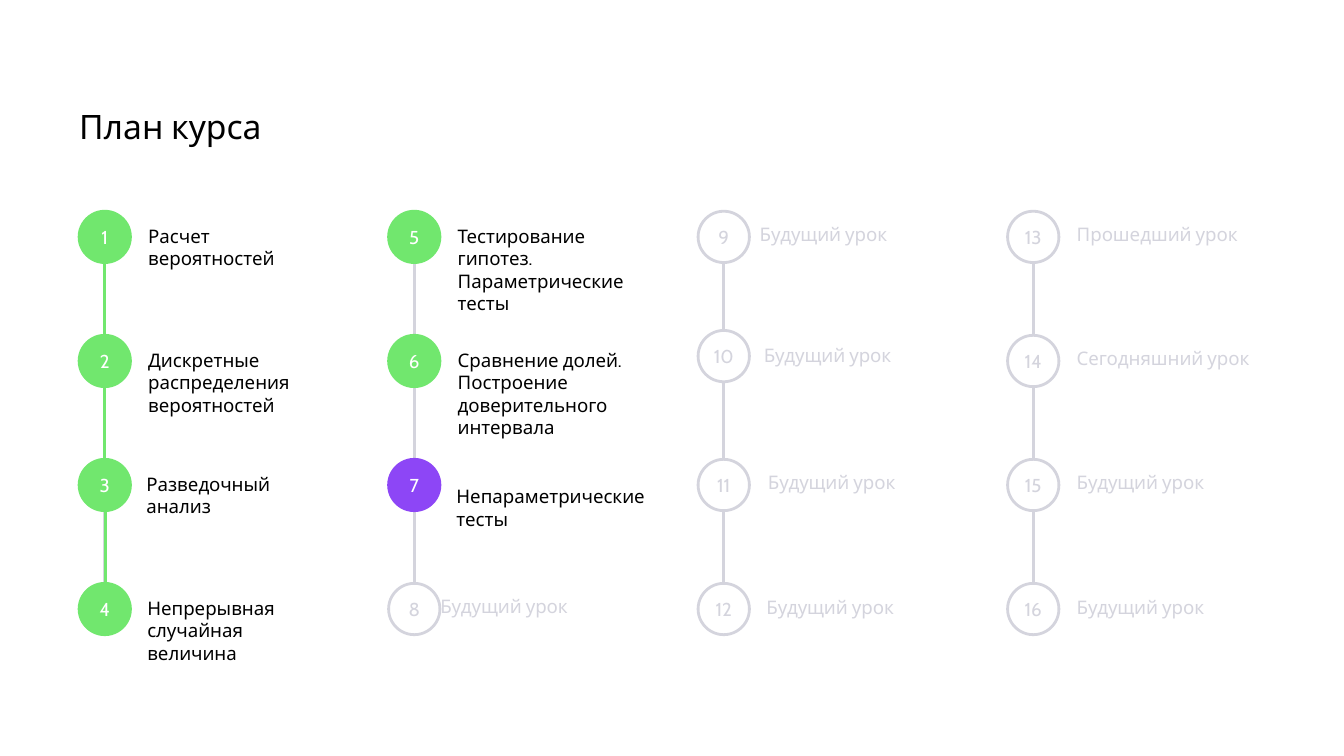
from dataclasses import dataclass

from lxml import etree
from pptx import Presentation
from pptx import util as u
from pptx.dml.color import RGBColor
from pptx.enum import shapes, text
from pptx.oxml.ns import qn

COLORS = {
    "black": "000000",
    "white": "FFFFFF",
    "done": "71E76E",
    "current": "8D46F6",
    "future": "D4D4DD",
}
FONT = "Cabin"
LEFT, TOP = 42.4, 113.2
COLUMN_STEP, ROW_STEP = 165.8, 66.45
DIAMETER = 27.5
ROWS = 4


@dataclass(frozen=True)
class Lesson:
    title: str
    status: str = "future"
    indent: float = 37
    drop: float = 0
    width: float = 101
    circle_drop: float = 0


LESSONS = [
    Lesson("Расчет вероятностей", "done"),
    Lesson("Дискретные распределения вероятностей", "done"),
    Lesson("Разведочный анализ", "done", indent=36),
    Lesson("Непрерывная случайная величина", "done", indent=36.5),
    Lesson("Тестирование гипотез. Параметрические тесты", "done"),
    Lesson("Сравнение долей. Построение доверительного интервала", "done"),
    Lesson("Непараметрические тесты", "current", indent=36.3, drop=6.5, width=109),
    Lesson("Будущий урок", indent=27.7),
    Lesson("Будущий урок", indent=33),
    Lesson("Будущий урок", indent=35.2, drop=-1.3, circle_drop=-2.6),
    Lesson("Будущий урок", indent=37.4),
    Lesson("Будущий урок", indent=36.6, drop=0.5),
    Lesson("Прошедший урок"),
    Lesson("Сегодняшний урок"),
    Lesson("Будущий урок"),
    Lesson("Будущий урок", drop=0.5),
]


def rgb(name: str) -> RGBColor:
    return RGBColor.from_string(COLORS[name])


def write(frame, content: str, size: float, color: str) -> None:
    frame.word_wrap = True
    paragraph = frame.paragraphs[0]
    paragraph.text = content
    paragraph.font.size = u.Pt(size)
    paragraph.font.name = FONT
    paragraph.font.color.rgb = rgb(color)


def set_margins(frame, left: float, top: float, right: float, bottom: float) -> None:
    frame.margin_left, frame.margin_top = u.Pt(left), u.Pt(top)
    frame.margin_right, frame.margin_bottom = u.Pt(right), u.Pt(bottom)


def add_title(slide, content: str) -> None:
    box = slide.shapes.add_textbox(u.Pt(LEFT), u.Pt(57), u.Pt(635), u.Pt(25))
    set_margins(box.text_frame, 0, 0, 0, 0)
    write(box.text_frame, content, 18, "black")


def add_link(slide, x: float, top: float, bottom: float, color: str) -> None:
    connector = slide.shapes.add_connector(
        shapes.MSO_CONNECTOR.STRAIGHT, u.Pt(x), u.Pt(top), u.Pt(x), u.Pt(bottom)
    )
    connector.line.color.rgb = rgb(color)
    connector.line.width = u.Pt(1.5)
    etree.SubElement(connector.element.spPr, qn("a:effectLst"))


def add_circle(slide, left: float, top: float, number: int, status: str) -> None:
    shape = slide.shapes.add_shape(
        shapes.MSO_SHAPE.OVAL, u.Pt(left), u.Pt(top), u.Pt(DIAMETER), u.Pt(DIAMETER)
    )
    is_future = status == "future"
    shape.shadow.inherit = False
    shape.fill.solid()
    shape.fill.fore_color.rgb = rgb("white" if is_future else status)
    shape.line.color.rgb = rgb(status)
    shape.line.width = u.Pt(1.5)
    frame = shape.text_frame
    set_margins(frame, 0, 0, 0, 0)
    frame.vertical_anchor = text.MSO_ANCHOR.MIDDLE
    write(frame, str(number), 10, "future" if is_future else "white")
    frame.paragraphs[0].alignment = text.PP_ALIGN.CENTER


def add_label(slide, left: float, top: float, lesson: Lesson) -> None:
    box = slide.shapes.add_textbox(
        u.Pt(left + lesson.indent), u.Pt(top + lesson.drop), u.Pt(lesson.width), u.Pt(27)
    )
    set_margins(box.text_frame, 0, 7.2, 7.2, 7.2)
    write(box.text_frame, lesson.title, 10, "future" if lesson.status == "future" else "black")


def add_lesson(slide, index: int, lesson: Lesson) -> None:
    column, row = divmod(index, ROWS)
    left = LEFT + column * COLUMN_STEP
    top = TOP + row * ROW_STEP
    circle_top = top + lesson.circle_drop
    if row < ROWS - 1:
        following = LESSONS[index + 1]
        center = left + DIAMETER / 2
        link_top = circle_top + DIAMETER
        link_bottom = top + ROW_STEP + following.circle_drop
        if column == 0 and row == ROWS - 2:
            add_link(slide, center - 0.4, link_top, link_bottom, "future")
            center += 0.4
        add_link(slide, center, link_top, link_bottom, "done" if column == 0 else "future")
    add_circle(slide, left, circle_top, index + 1, lesson.status)
    add_label(slide, left, top, lesson)


def main() -> None:
    presentation = Presentation()
    presentation.slide_width, presentation.slide_height = u.Pt(720), u.Pt(405)
    slide = presentation.slides.add_slide(presentation.slide_layouts[6])
    add_title(slide, "План курса")
    for index, lesson in enumerate(LESSONS):
        add_lesson(slide, index, lesson)
    presentation.save("out.pptx")


if __name__ == "__main__":
    main()
